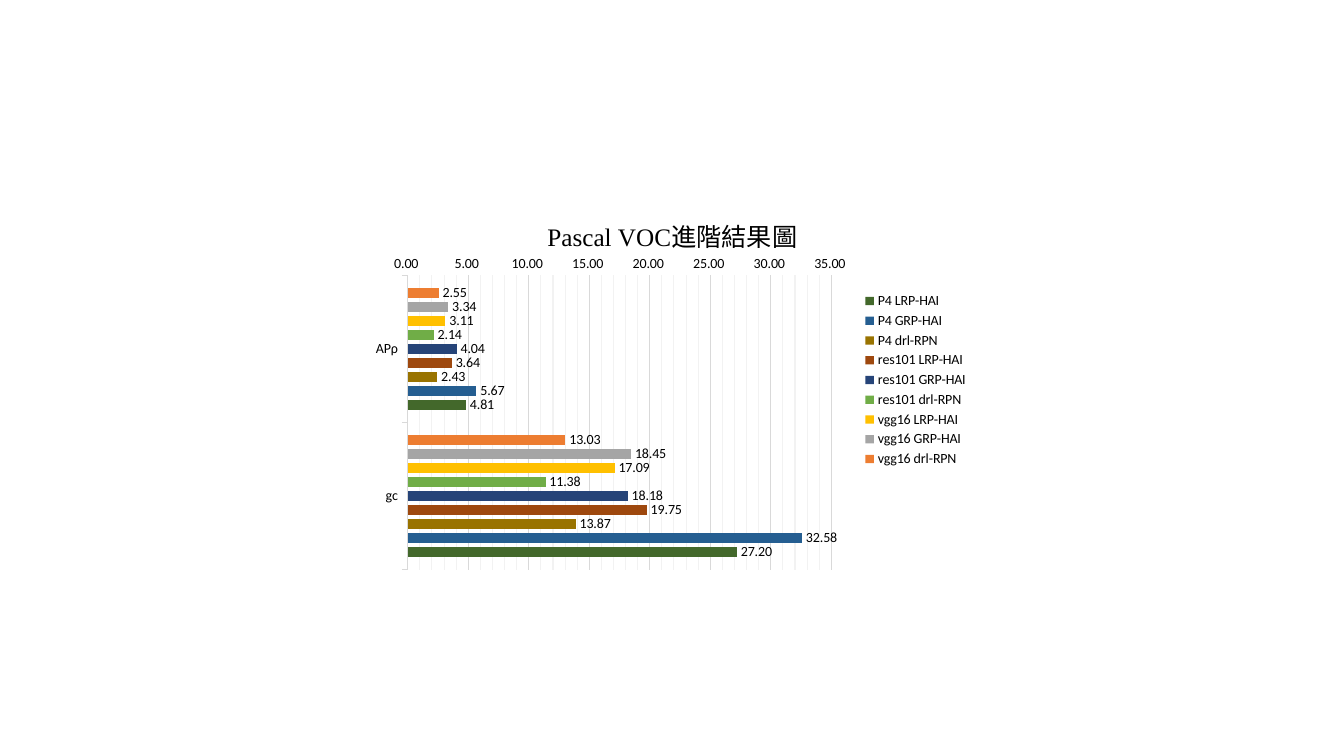
from pptx import Presentation
from pptx.chart.data import CategoryChartData
from pptx.dml.color import RGBColor
from pptx.enum.chart import XL_CHART_TYPE, XL_LABEL_POSITION, XL_LEGEND_POSITION, XL_TICK_MARK
from pptx.oxml import parse_xml
from pptx.oxml.ns import nsdecls, qn
from pptx.util import Pt

BLACK = RGBColor(0x00, 0x00, 0x00)
GRID = RGBColor(0xD9, 0xD9, 0xD9)
MINOR_GRID = RGBColor(0xF2, 0xF2, 0xF2)
RESULTS = [
    ("vgg16 drl-RPN", (2.55, 13.03), RGBColor(0xED, 0x7D, 0x31)),
    ("vgg16 GRP-HAI", (3.34, 18.45), RGBColor(0xA5, 0xA5, 0xA5)),
    ("vgg16 LRP-HAI", (3.11, 17.09), RGBColor(0xFF, 0xC0, 0x00)),
    ("res101 drl-RPN", (2.14, 11.38), RGBColor(0x70, 0xAD, 0x47)),
    ("res101 GRP-HAI", (4.04, 18.18), RGBColor(0x26, 0x44, 0x78)),
    ("res101 LRP-HAI", (3.64, 19.75), RGBColor(0x9E, 0x48, 0x0E)),
    ("P4 drl-RPN", (2.43, 13.87), RGBColor(0x99, 0x73, 0x00)),
    ("P4 GRP-HAI", (5.67, 32.58), RGBColor(0x25, 0x5E, 0x91)),
    ("P4 LRP-HAI", (4.81, 27.2), RGBColor(0x43, 0x68, 0x2B)),
]


def style_font(font, name="Calibri", size=10):
    font.name = name
    font.size = Pt(size)
    font.bold = False
    font.color.rgb = BLACK


def set_layout(element, index, target, **fractions):
    for layout in element.findall(qn("c:layout")):
        element.remove(layout)
    modes = "".join(f'<c:{axis}Mode val="edge"/>' for axis in "xy")
    sizes = "".join(f'<c:{key} val="{value}"/>' for key, value in fractions.items())
    element.insert(index, parse_xml(
        f'<c:layout {nsdecls("c")}><c:manualLayout>{target}{modes}{sizes}'
        '</c:manualLayout></c:layout>'))


deck = Presentation()
deck.slide_width = Pt(960)
deck.slide_height = Pt(540)
page = deck.slides.add_slide(deck.slide_layouts[6])

data = CategoryChartData(number_format="0.00")
data.categories = ["APρ", "gc"]
for name, values, color in RESULTS:
    data.add_series(name, values)
chart = page.shapes.add_chart(
    XL_CHART_TYPE.BAR_CLUSTERED, Pt(260.6), Pt(133.2), Pt(438.5), Pt(276.5), data).chart
style_font(chart.font)

title = chart.chart_title
title.text_frame.text = "Pascal VOC進階結果圖"
style_font(title.text_frame.paragraphs[0].runs[0].font, "Times New Roman", 18)
title.include_in_layout = False
set_layout(title.format.fill and chart.element.chart.find(qn("c:title")), 1, "", x=0.29, y=0.06)

plot = chart.plots[0]
plot.gap_width = 269
plot.overlap = -48
plot.vary_by_categories = False
for series, (name, values, color) in zip(plot.series, RESULTS):
    series.format.fill.solid()
    series.format.fill.fore_color.rgb = color
    labels = series.data_labels
    labels.show_value = True
    labels.position = XL_LABEL_POSITION.OUTSIDE_END
    labels.number_format = "0.00"
    labels.number_format_is_linked = False
    style_font(labels.font)

category_axis = chart.category_axis
category_axis.reverse_order = True
category_axis.major_tick_mark = XL_TICK_MARK.OUTSIDE
category_axis.format.line.color.rgb = GRID
category_axis.format.line.width = Pt(0.75)
style_font(category_axis.tick_labels.font)

value_axis = chart.value_axis
value_axis.minimum_scale = 0
value_axis.maximum_scale = 35
value_axis.major_unit = 5
value_axis.minor_unit = 1
value_axis.major_tick_mark = XL_TICK_MARK.NONE
value_axis.format.line.fill.background()
value_axis.tick_labels.number_format = r"#,##0.00_);[Red]\(#,##0.00\)"
value_axis.tick_labels.number_format_is_linked = False
style_font(value_axis.tick_labels.font)
value_axis.has_minor_gridlines = True
for gridlines, color in ((value_axis.major_gridlines, GRID), (value_axis.minor_gridlines, MINOR_GRID)) if hasattr(
        value_axis, "minor_gridlines") else ((value_axis.major_gridlines, GRID),):
    gridlines.format.line.color.rgb = color
    gridlines.format.line.width = Pt(0.75)
minor = chart.element.chart.plotArea.find(".//" + qn("c:minorGridlines"))
minor.append(parse_xml(
    f'<c:spPr {nsdecls("c", "a")}><a:ln w="{Pt(0.75)}"><a:solidFill>'
    f'<a:srgbClr val="{MINOR_GRID}"/></a:solidFill></a:ln></c:spPr>'))

chart.has_legend = True
chart.legend.position = XL_LEGEND_POSITION.RIGHT
chart.legend.include_in_layout = False
style_font(chart.legend.font)
set_layout(chart.element.chart.plotArea, 0, '<c:layoutTarget val="inner"/>',
           x=0.07, y=0.23, w=0.69, h=0.76)

deck.save("out.pptx")
